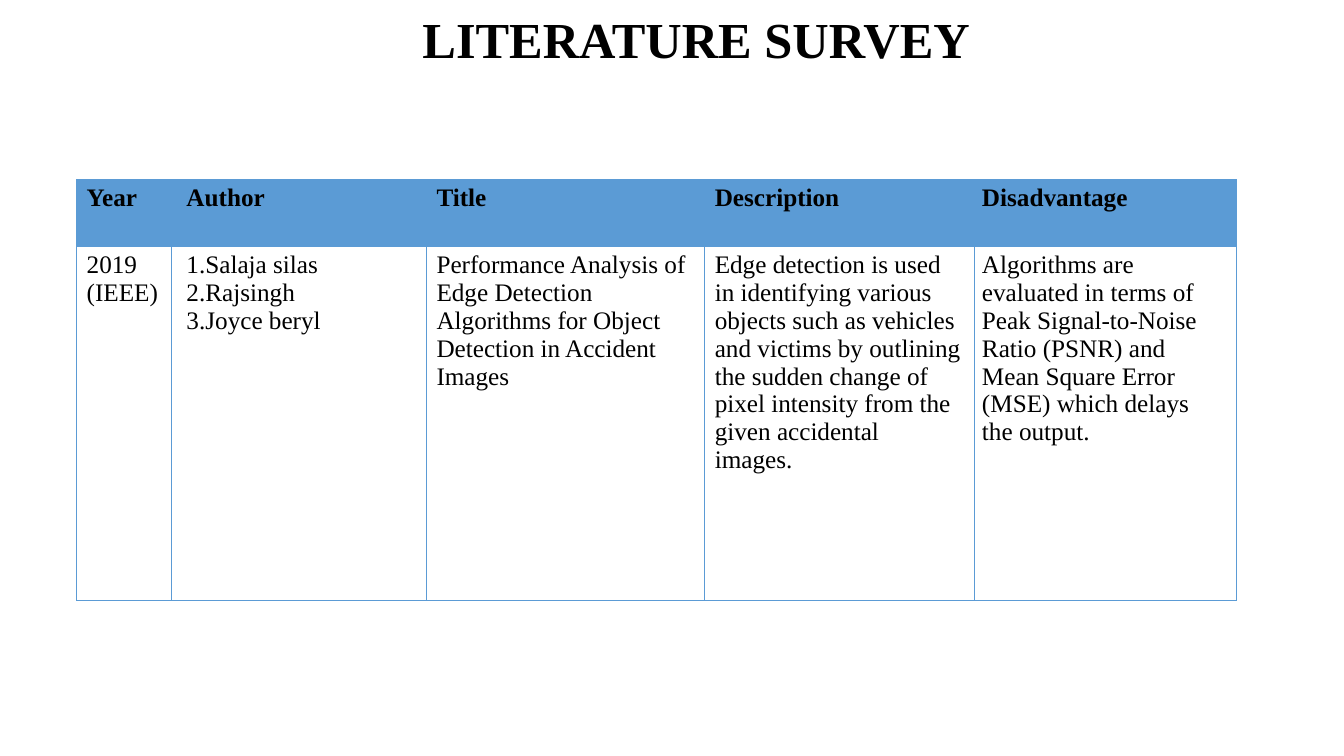
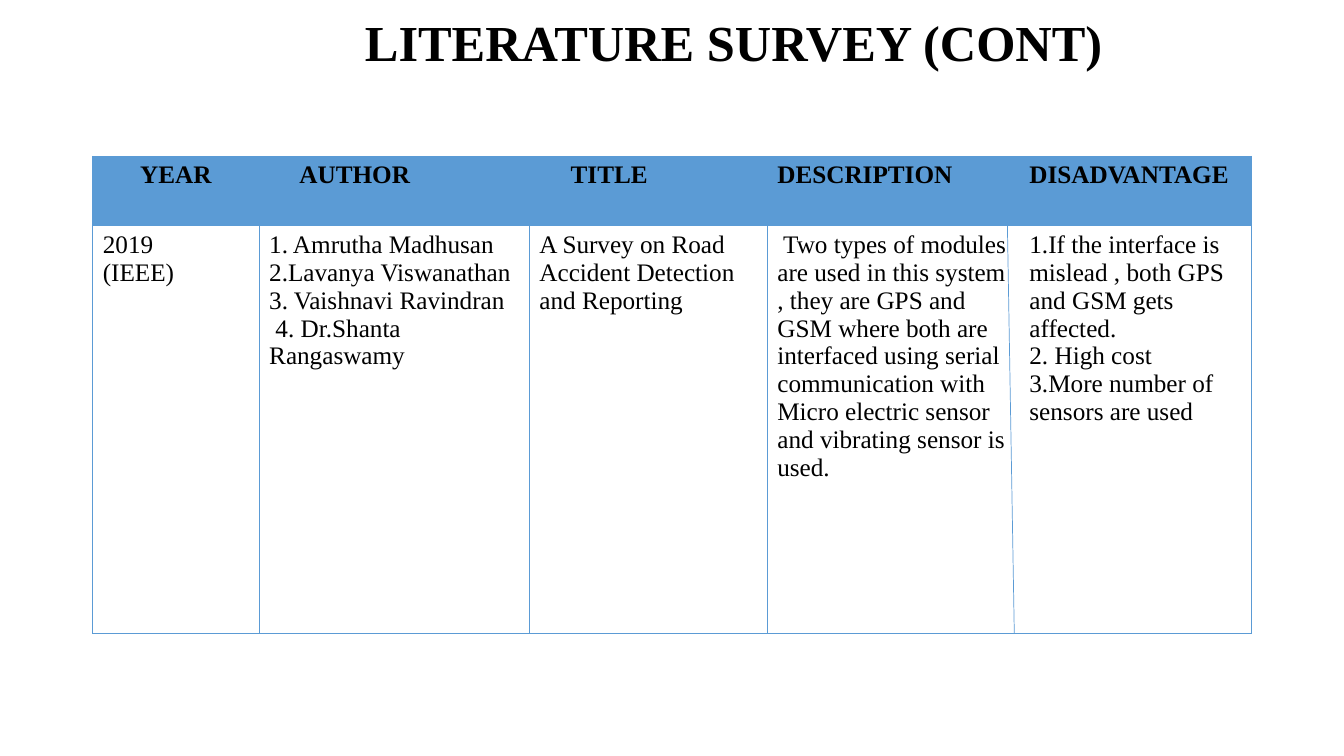
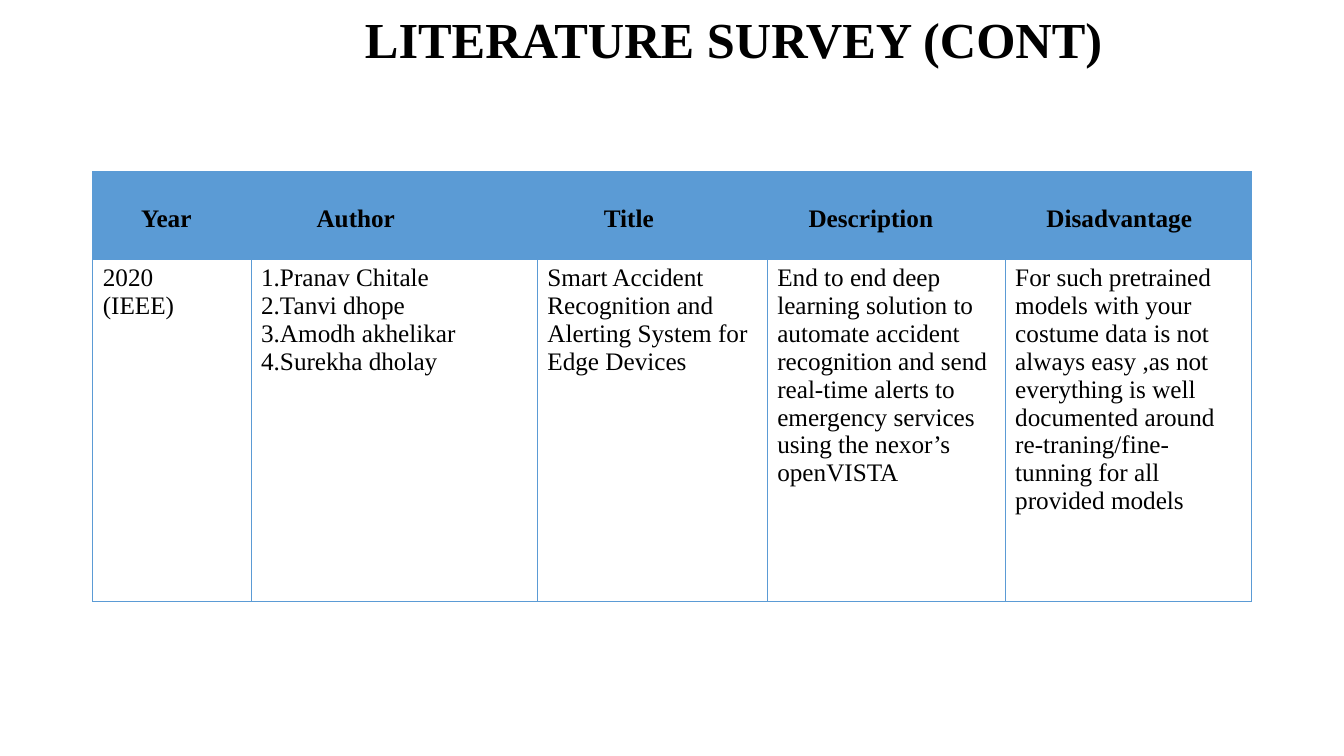
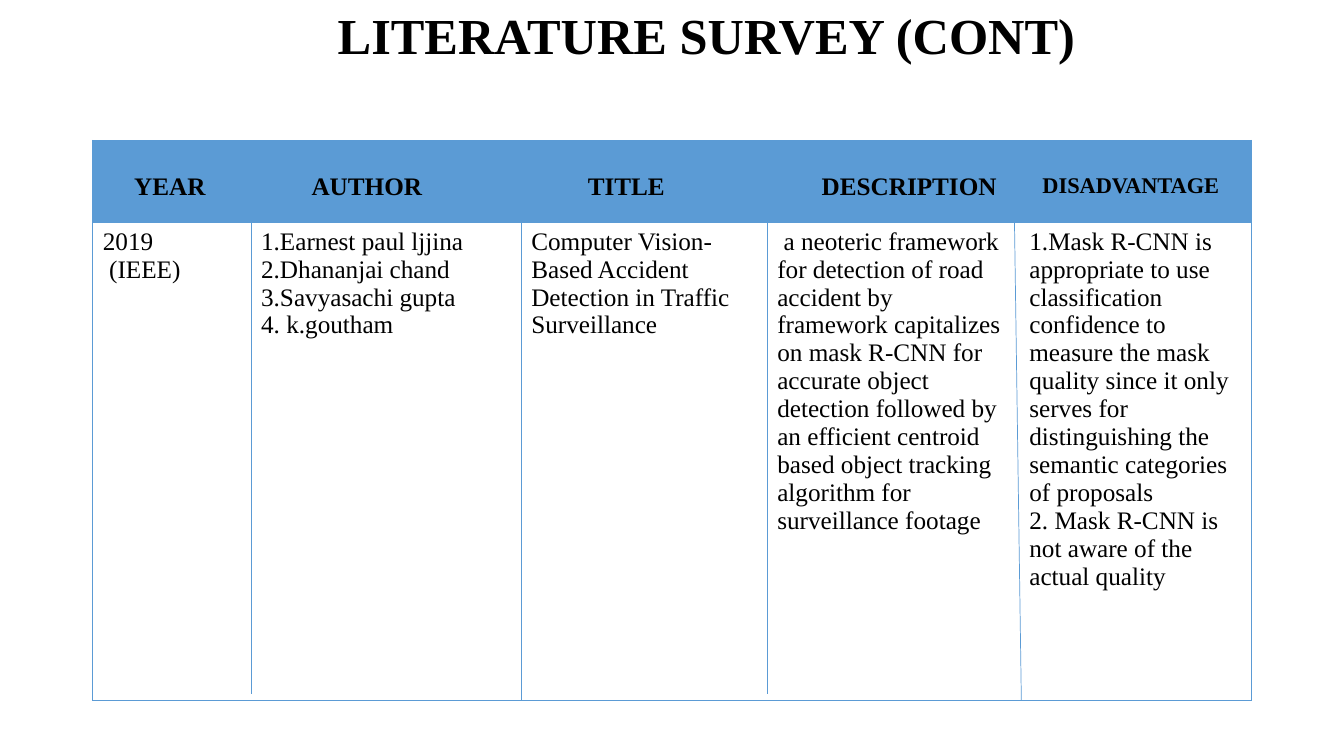
from dataclasses import dataclass
from itertools import accumulate

from lxml.etree import SubElement
from pptx import Presentation
from pptx.dml.color import RGBColor
from pptx.enum.shapes import MSO_CONNECTOR
from pptx.enum.text import MSO_ANCHOR
from pptx.oxml.ns import qn
from pptx.util import Inches, Pt


@dataclass(frozen=True)
class Theme:
    font: str = "Times New Roman"
    ink: RGBColor = RGBColor(0x00, 0x00, 0x00)
    paper: RGBColor = RGBColor(0xFF, 0xFF, 0xFF)
    accent: RGBColor = RGBColor(0x5B, 0x9B, 0xD5)
    title_size: int = 36
    table_size: int = 18
    rule_width: float = 0.5
    inset: float = 0.1
    plain_table: str = "{2D5ABB26-0587-4C30-8999-92F81FD0307C}"


theme = Theme()
TITLE_LEFT, CONTENT_WIDTH = 0.92, 11.5

# title: text, text start, top, height; table: left, top
# headings: text, extra indent, size; slanted: divider index -> x at top and bottom
surveys = [
    dict(
        title=("LITERATURE SURVEY", 4.19, 0, 0.84),
        table=(0.76, 1.78), columns=[0.99, 2.48, 2.76, 2.65, 2.62], rows=[0.66, 3.52],
        heading_drop=0,
        headings=[("Year", 0, 18), ("Author", 0, 18), ("Title", 0, 18),
                  ("Description", 0, 18), ("Disadvantage", 0, 18)],
        body=[
            "2019\n(IEEE)",
            "1.Salaja silas\n2.Rajsingh\n3.Joyce beryl",
            "Performance Analysis of Edge Detection Algorithms for Object Detection "
            "in Accident Images",
            "Edge detection is used in identifying various objects such as vehicles and "
            "victims by outlining the sudden change of pixel intensity from the given "
            "accidental images.",
            "Algorithms are evaluated in terms of Peak Signal-to-Noise Ratio (PSNR) and "
            "Mean Square Error (MSE) which delays the output.",
        ],
        slanted={0: (1.7, 1.7), 3: (9.66, 9.66)}, short=(),
    ),
    dict(
        title=("LITERATURE SURVEY (CONT)", 3.62, 0.13, 0.63),
        table=(0.92, 1.55), columns=[1.65, 2.68, 2.36, 2.5, 2.3], rows=[0.69, 4.04],
        heading_drop=0,
        headings=[("YEAR", 0.37, 18), ("AUTHOR", 0.3, 18), ("TITLE", 0.31, 18),
                  ("DESCRIPTION", 0, 18), ("DISADVANTAGE", 0, 18)],
        body=[
            "2019\n(IEEE)",
            "1. Amrutha Madhusan\n2.Lavanya Viswanathan\n3. Vaishnavi Ravindran\n"
            " 4. Dr.Shanta Rangaswamy",
            "A Survey on Road Accident Detection and Reporting",
            " Two types of modules are used in this system , they are GPS and GSM where "
            "both are interfaced using serial communication with Micro electric sensor "
            "and vibrating sensor is used.",
            "1.If the interface is mislead , both GPS and GSM gets affected.\n"
            "2. High cost\n3.More number of sensors are used",
        ],
        slanted={3: (9.98, 10.06)}, short=(),
    ),
    dict(
        title=("LITERATURE SURVEY (CONT)", 3.62, 0, 0.84),
        table=(0.92, 1.7), columns=[1.57, 2.84, 2.28, 2.36, 2.44], rows=[0.87, 3.4],
        heading_drop=0.28,
        headings=[("Year", 0.38, 18), ("Author", 0.55, 18), ("Title", 0.56, 18),
                  ("Description", 0.31, 18), ("Disadvantage", 0.31, 18)],
        body=[
            "2020\n(IEEE)",
            "1.Pranav Chitale\n2.Tanvi dhope\n3.Amodh akhelikar\n4.Surekha dholay",
            "Smart Accident Recognition and Alerting System for Edge Devices",
            "End to end deep learning solution to automate accident recognition and send "
            "real-time alerts to emergency services using the nexor’s openVISTA",
            "For such pretrained models with your costume data is not always easy ,as not "
            "everything is well documented around re-traning/fine-tunning for all "
            "provided models",
        ],
        slanted={}, short=(),
    ),
    dict(
        title=("LITERATURE SURVEY (CONT)", 3.35, 0, 0.76),
        table=(0.92, 1.39), columns=[1.57, 2.68, 2.44, 2.5, 2.3], rows=[0.82, 4.74],
        heading_drop=0.28,
        headings=[("YEAR", 0.31, 18), ("AUTHOR", 0.5, 18), ("TITLE", 0.56, 18),
                  ("DESCRIPTION", 0.44, 18), ("DISADVANTAGE", 0.13, 16)],
        body=[
            "2019\n (IEEE)",
            "1.Earnest paul ljjina\n2.Dhananjai chand\n3.Savyasachi gupta\n4. k.goutham",
            "Computer Vision-Based Accident Detection in Traffic Surveillance",
            " a neoteric framework for detection of road accident by framework "
            "capitalizes on mask R-CNN for accurate object detection followed by an "
            "efficient centroid based object tracking algorithm for surveillance footage",
            "1.Mask R-CNN is appropriate to use classification confidence to measure the "
            "mask quality since it only serves for distinguishing the semantic "
            "categories of proposals\n2. Mask R-CNN is not aware of the actual quality",
        ],
        slanted={3: (10.05, 10.13)}, short=(0, 2),
    ),
]


def style_text(text_frame, size, bold):
    for paragraph in text_frame.paragraphs:
        paragraph.font.name = theme.font
        paragraph.font.size = Pt(size)
        paragraph.font.bold = bold
        paragraph.font.color.rgb = theme.ink


def add_borders(cell, sides):
    properties = cell._tc.get_or_add_tcPr()
    for side in sides:
        border = SubElement(properties, qn(f"a:ln{side}"), w=str(Pt(theme.rule_width)))
        fill = SubElement(border, qn("a:solidFill"))
        SubElement(fill, qn("a:srgbClr"), val=str(theme.accent))


presentation = Presentation()
presentation.slide_width = Inches(13.33)
presentation.slide_height = Inches(7.5)

for survey in surveys:
    slide = presentation.slides.add_slide(presentation.slide_layouts[6])

    # Title
    text, start, top, height = survey["title"]
    title = slide.shapes.add_textbox(
        Inches(TITLE_LEFT), Inches(top), Inches(CONTENT_WIDTH), Inches(height))
    title_frame = title.text_frame
    title_frame.word_wrap = True
    title_frame.vertical_anchor = MSO_ANCHOR.MIDDLE
    title_frame.margin_left = Inches(start - TITLE_LEFT)
    title_frame.text = text
    title_frame.paragraphs[0].line_spacing = 0.9
    style_text(title_frame, theme.title_size, True)

    # Table
    left, top = survey["table"]
    columns, rows = survey["columns"], survey["rows"]
    table = slide.shapes.add_table(
        len(rows), len(columns), Inches(left), Inches(top),
        Inches(sum(columns)), Inches(sum(rows))).table
    table.horz_banding = False
    table._tbl.tblPr.find(qn("a:tableStyleId")).text = theme.plain_table
    for row, height in zip(table.rows, rows):
        row.height = Inches(height)

    last = len(columns) - 1
    for index, width in enumerate(columns):
        table.columns[index].width = Inches(width)
        heading, indent, size = survey["headings"][index]
        heading_cell, body_cell = table.cell(0, index), table.cell(1, index)
        heading_cell.text, body_cell.text = heading, survey["body"][index]
        style_text(heading_cell.text_frame, size, True)
        style_text(body_cell.text_frame, theme.table_size, False)
        heading_cell.margin_left = Inches(theme.inset + indent)
        heading_cell.margin_top = Inches(0.05 + survey["heading_drop"])

        sides = (["L"] if index == 0 else []) + (["R"] if index == last else []) + ["T", "B"]
        for cell, color in ((heading_cell, theme.accent), (body_cell, theme.paper)):
            add_borders(cell, sides)
            cell.fill.solid()
            cell.fill.fore_color.rgb = color

    # Column dividers
    for index, edge in enumerate(accumulate(columns[:-1], initial=left)):
        if index == 0:
            continue
        divider_index = index - 1
        x_top, x_bottom = survey["slanted"].get(divider_index, (edge, edge))
        bottom = top + sum(rows) - (0.06 if divider_index in survey["short"] else 0)
        divider = slide.shapes.add_connector(
            MSO_CONNECTOR.STRAIGHT, Inches(x_top), Inches(top), Inches(x_bottom), Inches(bottom))
        divider.line.color.rgb = theme.accent
        divider.line.width = Pt(theme.rule_width)
        SubElement(divider._element.spPr, qn("a:effectLst"))

presentation.save("out.pptx")
